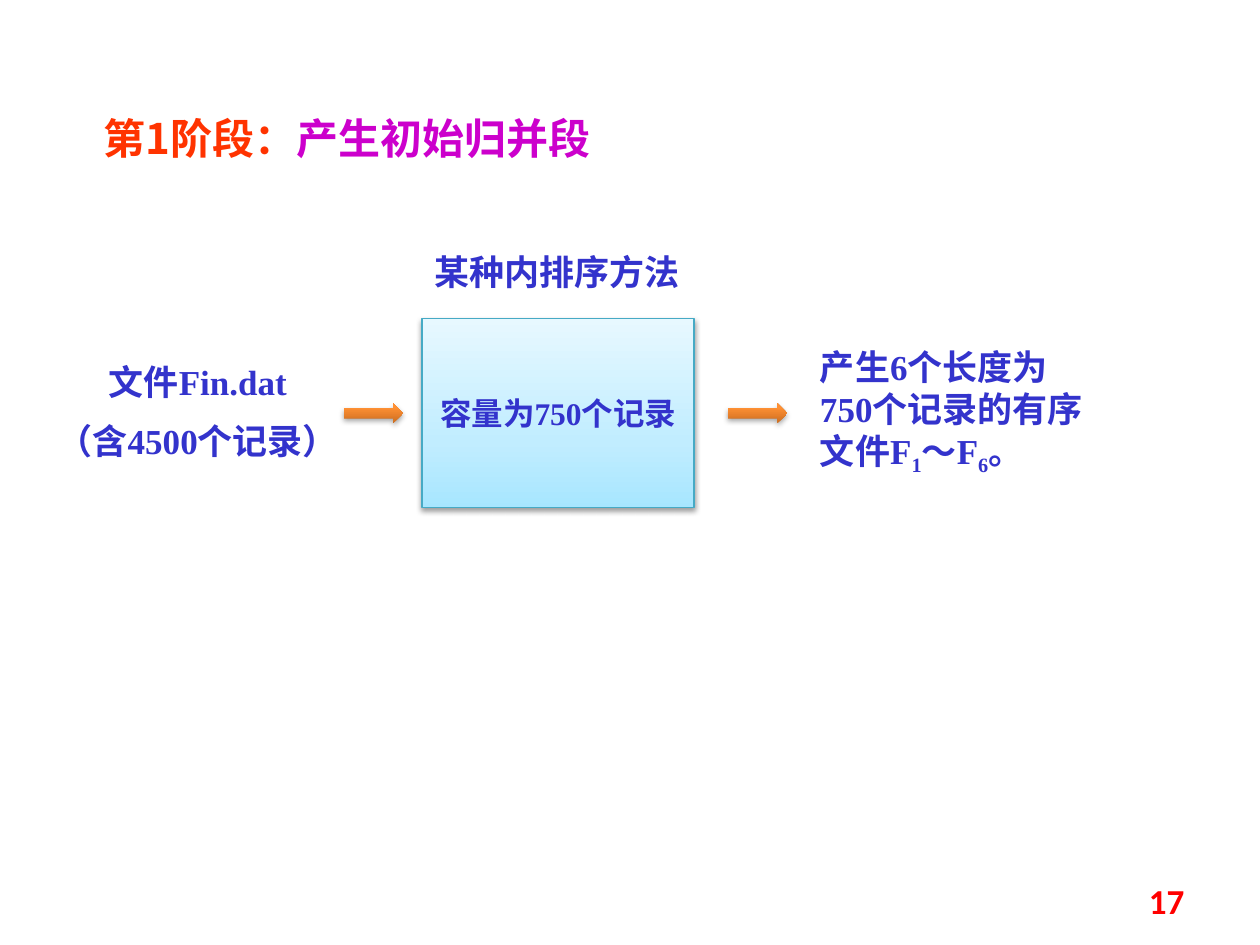
import pptx
import pptx.util
import pptx.oxml
import pptx.dml.color
import pptx.enum.shapes
import pptx.enum.text
from dataclasses import dataclass
from pptx.oxml.ns import nsdecls, qn

Inches, Pt = pptx.util.Inches, pptx.util.Pt
RGB = pptx.dml.color.RGBColor.from_string
MSO = pptx.enum.shapes.MSO_SHAPE
ALIGN = pptx.enum.text.PP_ALIGN
ANCHOR = pptx.enum.text.MSO_ANCHOR


@dataclass(frozen=True)
class Theme:
    text: str = "3333CC"
    stage: str = "FF3300"
    topic: str = "CC00CC"
    number: str = "FF0000"
    box_line: str = "46AAC5"
    box_fill: tuple = ((0, "A7E6FF"), (35, "C1EDFF"), (100, "E7F8FF"))
    arrow_fill: tuple = ((0, "CC6E20"), (80, "FF9034"), (100, "FF9136"))
    serif: str = "Times New Roman"
    cjk: str = "Noto Sans CJK SC"
    sans: str = "Calibri"
    title_size: int = 24
    body_size: int = 20
    box_size: int = 18


class SlideBuilder:
    def __init__(self, slide, theme):
        self.slide = slide
        self.theme = theme

    def fill_text(self, tf, paragraphs, size=None, font=None, color=None, bold=True,
                  align=ALIGN.LEFT, anchor=ANCHOR.TOP, wrap=True):
        """Each paragraph is a list of (text, run format) pairs."""
        t = self.theme
        size = size or t.body_size
        tf.word_wrap = wrap
        tf.auto_size = pptx.enum.text.MSO_AUTO_SIZE.NONE
        tf.vertical_anchor = anchor
        for i, runs in enumerate(paragraphs):
            p = tf.add_paragraph() if i else tf.paragraphs[0]
            p.alignment = align
            p.space_before = Pt(size / 2 if i else 0)
            p.font.size = Pt(size)
            p.font.bold = bold
            p.font.color.rgb = RGB(color or t.text)
            p.font.name = font or t.serif
            ea = pptx.oxml.parse_xml(f'<a:ea {nsdecls("a")} typeface="{t.cjk}"/>')
            p._p.pPr.find(qn("a:defRPr")).append(ea)
            for text, style in runs:
                r = p.add_run()
                r.text = text
                if "color" in style:
                    r.font.color.rgb = RGB(style["color"])
                if "baseline" in style:
                    r.font._element.set("baseline", str(style["baseline"] * 1000))

    def title(self, runs, left, top, width, height):
        sp = self.slide.shapes.title
        sp.left, sp.top, sp.width, sp.height = map(Inches, (left, top, width, height))
        self.fill_text(sp.text_frame, [runs], size=self.theme.title_size,
                       font=self.theme.cjk, align=ALIGN.CENTER)

    def text(self, paragraphs, left, top, width, height, **style):
        sp = self.slide.shapes.add_textbox(*map(Inches, (left, top, width, height)))
        self.fill_text(sp.text_frame, paragraphs, **style)

    def shape(self, kind, stops, shadow, left, top, width, height, line=None):
        """Preset shape with an upward gradient; shadow is (alpha %, distance pt)."""
        sp = self.slide.shapes.add_shape(kind, *map(Inches, (left, top, width, height)))
        sp.fill.gradient()
        sp.fill.gradient_angle = 90
        gs_list = sp._element.spPr.find(qn("a:gradFill")).find(qn("a:gsLst"))
        gs_list.clear()
        for pos, color in stops:
            gs_list.append(pptx.oxml.parse_xml(
                f'<a:gs {nsdecls("a")} pos="{pos * 1000}"><a:srgbClr val="{color}"/></a:gs>'))
        if line:
            sp.line.color.rgb = RGB(line)
            sp.line.width = Pt(0.75)
        else:
            sp.line.fill.background()
        alpha, dist = shadow
        sp._element.spPr.append(pptx.oxml.parse_xml(
            f'<a:effectLst {nsdecls("a")}><a:outerShdw blurRad="{Pt(3.1)}" dist="{Pt(dist)}" '
            f'dir="5400000" rotWithShape="0"><a:srgbClr val="000000">'
            f'<a:alpha val="{alpha * 1000}"/></a:srgbClr></a:outerShdw></a:effectLst>'))
        return sp


def main():
    theme = Theme()
    prs = pptx.Presentation()
    prs.slide_width, prs.slide_height = Inches(10), Inches(7.5)
    s = SlideBuilder(prs.slides.add_slide(prs.slide_layouts[5]), theme)

    # Heading
    s.title([("第1阶段：", {"color": theme.stage}),
             ("产生初始归并段", {"color": theme.topic})], 0.51, 0.84, 4.49, 0.5)

    # Input file
    s.text([[("文件Fin.dat", {})], [("（含4500个记录）", {})]],
           0.31, 2.81, 2.52, 0.93, align=ALIGN.CENTER)

    # Internal sort
    s.text([[("某种内排序方法", {})]], 3.35, 1.94, 2.36, 0.43)
    box = s.shape(MSO.RECTANGLE, theme.box_fill, (38, 1.6),
                  3.35, 2.53, 2.16, 1.5, line=theme.box_line)
    s.fill_text(box.text_frame, [[("容量为750个记录", {})]], size=theme.box_size,
                align=ALIGN.CENTER, anchor=ANCHOR.MIDDLE, wrap=False)

    # Sorted runs
    sub, base = {"baseline": -25}, {}
    s.text([[("产生6个长度为750个记录的有序文件F", base), ("1", sub),
             ("～F", base), ("6", sub), ("。", base)]], 6.41, 2.69, 2.36, 1.1)

    # Flow arrows
    for left in (2.73, 5.78):
        s.shape(MSO.RIGHT_ARROW, theme.arrow_fill, (35, 1.8), left, 3.2, 0.47, 0.16)

    # Page number
    s.text([[("17", {})]], 7.17, 6.95, 2.33, 0.4, font=theme.sans,
           color=theme.number, align=ALIGN.RIGHT, anchor=ANCHOR.MIDDLE)

    prs.save("out.pptx")


if __name__ == "__main__":
    main()
